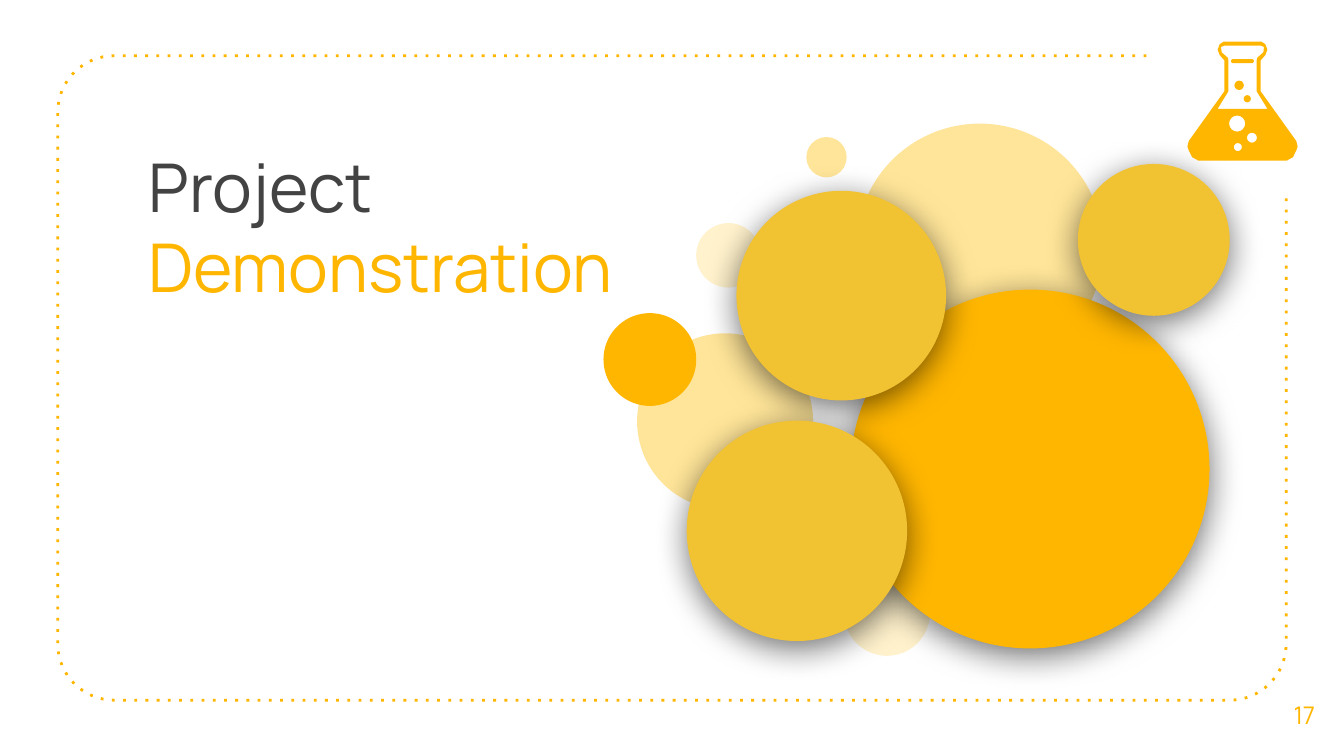
"""Build the project demonstration slide."""
import math
from dataclasses import dataclass

import pptx
import pptx.dml.color
import pptx.enum.dml
import pptx.enum.shapes
import pptx.enum.text
import pptx.oxml
import pptx.oxml.ns
import pptx.util


@dataclass(frozen=True)
class Theme:
    """Hold the colours, font and type sizes of the slide."""

    amber: str = "FFB600"
    gold: str = "F1C232"
    sand: str = "FFE599"
    cream: str = "FFF2CC"
    ink: str = "434343"
    font: str = "Manrope"
    title_size: int = 36
    number_size: int = 13


THEME = Theme()
SLIDE_WIDTH = pptx.util.Inches(10)
SLIDE_HEIGHT = SLIDE_WIDTH * 9 // 16
COLUMNS = 100
SHAPES = pptx.enum.shapes.MSO_SHAPE
ALIGN = pptx.enum.text.PP_ALIGN
ANCHOR = pptx.enum.text.MSO_ANCHOR

PALE_BUBBLES = [
    (66, 45.6, 3.2, THEME.cream),
    (54.2, 19, 2.4, THEME.cream),
    (53.95, 31.35, 6.55, THEME.sand),
    (72.9, 18.4, 9.2, THEME.sand),
    (48.35, 26.75, 3.45, THEME.amber),
    (61.5, 11.7, 1.5, THEME.sand),
]
RAISED_BUBBLES = [
    (76.65, 34.9, 13.35, THEME.amber),
    (62.6, 22, 7.8, THEME.gold),
    (59.3, 39.5, 8.2, THEME.gold),
    (85.85, 17.85, 5.65, THEME.gold),
]
FLASK_CENTRE = 92.45
FLASK_OUTER = [
    (1.4, 3.1), (1.7, 3.3), (1.85, 3.7), (1.7, 4.1), (1.35, 4.5), (1.35, 6.8),
    (4, 10.5), (4.1, 10.9), (4, 11.2), (3.75, 11.7), (3.3, 11.95),
]
FLASK_INNER = [
    (1.35, 3.4), (1.6, 3.5), (1.55, 3.9), (1.1, 4.3), (1.05, 4.5), (1.05, 6.8), (1.85, 8.1),
]
FLASK_HOLES = [(92.05, 9.2, 0.6), (93.15, 10.25, 0.37), (92.1, 10.95, 0.3)]
FLASK_BUBBLES = [(92.8, 7.35, 0.27), (92.2, 6.35, 0.35)]


def cells(count):
    """Convert grid cells to a length."""
    return pptx.util.Emu(round(count * SLIDE_WIDTH / COLUMNS))


def box(left, top, width, height):
    """Convert a box in grid cells to lengths."""
    return [cells(value) for value in (left, top, width, height)]


def colour(value):
    """Return a colour object for a hex value."""
    return pptx.dml.color.RGBColor.from_string(value)


def paint(shape, fill):
    """Give a shape a flat fill without line or shadow."""
    shape.shadow.inherit = False
    shape.fill.solid()
    shape.fill.fore_color.rgb = colour(fill)
    shape.line.fill.background()


def add_circle(shapes, x, y, radius, fill):
    """Add a filled circle around a centre."""
    shape = shapes.add_shape(
        SHAPES.OVAL, *box(x - radius, y - radius, 2 * radius, 2 * radius)
    )
    paint(shape, fill)
    return shape


def add_shadow(shape):
    """Give a shape a soft shadow below it."""
    effects = shape._element.spPr.find(pptx.oxml.ns.qn("a:effectLst"))
    effects.append(pptx.oxml.parse_xml(
        f'<a:outerShdw {pptx.oxml.ns.nsdecls("a")} blurRad="{pptx.util.Pt(18)}" '
        f'dist="{pptx.util.Pt(4)}" dir="5400000" algn="bl" rotWithShape="0">'
        '<a:srgbClr val="000000"><a:alpha val="55000"/></a:srgbClr></a:outerShdw>'
    ))


def arc(x, y, radius, start, end, steps=16):
    """Return points along an arc between two angles in degrees."""
    angles = [math.radians(start + (end - start) * i / steps) for i in range(steps + 1)]
    return [(x + radius * math.cos(a), y + radius * math.sin(a)) for a in angles]


def mirrored(half):
    """Return the flask contour made from its right half."""
    right = [(FLASK_CENTRE + x, y) for x, y in half]
    left = [(FLASK_CENTRE - x, y) for x, y in reversed(half)]
    return right + left


def add_outline(shapes, contours, close):
    """Add a freeform made of one or more contours."""
    paths = [[(cells(x), cells(y)) for x, y in contour] for contour in contours]
    builder = shapes.build_freeform(*paths[0][0])
    builder.add_line_segments(paths[0][1:], close=close)
    for points in paths[1:]:
        builder.move_to(*points[0])
        builder.add_line_segments(points[1:], close=close)
    return builder.convert_to_shape()


def add_frame(slide):
    """Add the dotted frame that leaves its top right corner open."""
    left, top, right, bottom, radius = 4.3, 4.15, 95.7, 52.1, 4.2
    points = [
        (85.3, top),
        *arc(left + radius, top + radius, radius, 270, 180),
        *arc(left + radius, bottom - radius, radius, 180, 90),
        *arc(right - radius, bottom - radius, radius, 90, 0),
        (right, 14.6),
    ]
    frame = add_outline(slide.shapes, [points], close=False)
    frame.shadow.inherit = False
    frame.fill.background()
    frame.line.color.rgb = colour(THEME.amber)
    frame.line.width = pptx.util.Pt(1.5)
    frame.line.dash_style = pptx.enum.dml.MSO_LINE.ROUND_DOT
    frame._element.spPr.find(".//" + pptx.oxml.ns.qn("a:prstDash")).set("val", "dot")


def format_text(shape, alignment, anchor, size, colours):
    """Format a one-paragraph text with a colour for each run."""
    frame = shape.text_frame
    frame.word_wrap = True
    frame.auto_size = pptx.enum.text.MSO_AUTO_SIZE.NONE
    frame.vertical_anchor = anchor
    frame.margin_left = frame.margin_right = cells(1)
    frame.margin_top = frame.margin_bottom = cells(1)
    paragraph = frame.paragraphs[0]
    paragraph.alignment = alignment
    for run, value in zip(paragraph.runs, colours):
        run.font.name = THEME.font
        run.font.size = pptx.util.Pt(size)
        run.font.color.rgb = colour(value)


def add_title(slide):
    """Place and format the two-colour title."""
    title = slide.shapes.title
    title.left, title.top, title.width, title.height = box(10.05, 9.8, 51, 9.4)
    title.text_frame.text = "Project\vDemonstration"
    format_text(title, ALIGN.LEFT, ANCHOR.TOP, THEME.title_size, [THEME.ink, THEME.amber])


def add_number(slide):
    """Add the slide number."""
    number = slide.shapes.add_textbox(*box(94.1, 50.2, 5.9, 6))
    number.text_frame.text = "17"
    format_text(number, ALIGN.CENTER, ANCHOR.MIDDLE, THEME.number_size, [THEME.amber])


def add_bubbles(slide):
    """Add the pale bubbles and the raised ones over them."""
    group = slide.shapes.add_group_shape()
    for bubble in PALE_BUBBLES:
        add_circle(group.shapes, *bubble)
    for bubble in RAISED_BUBBLES:
        add_shadow(add_circle(slide.shapes, *bubble))


def add_flask(slide):
    """Add the flask icon."""
    shapes = slide.shapes.add_group_shape().shapes
    holes = [arc(*hole, 360, 0) for hole in FLASK_HOLES]
    contours = [mirrored(FLASK_OUTER), mirrored(FLASK_INNER), *holes]
    paint(add_outline(shapes, contours, close=True), THEME.amber)
    for bubble in FLASK_BUBBLES:
        add_circle(shapes, *bubble, THEME.amber)
    mark = shapes.add_shape(SHAPES.ROUNDED_RECTANGLE, *box(91.6, 4.4, 1.7, 0.3))
    mark.adjustments[0] = 0.5
    paint(mark, THEME.amber)


def main():
    """Build and save the presentation."""
    presentation = pptx.Presentation()
    presentation.slide_width = SLIDE_WIDTH
    presentation.slide_height = SLIDE_HEIGHT
    slide = presentation.slides.add_slide(presentation.slide_layouts[5])
    for add_part in (add_frame, add_title, add_number, add_bubbles, add_flask):
        add_part(slide)
    presentation.save("out.pptx")


if __name__ == "__main__":
    main()
